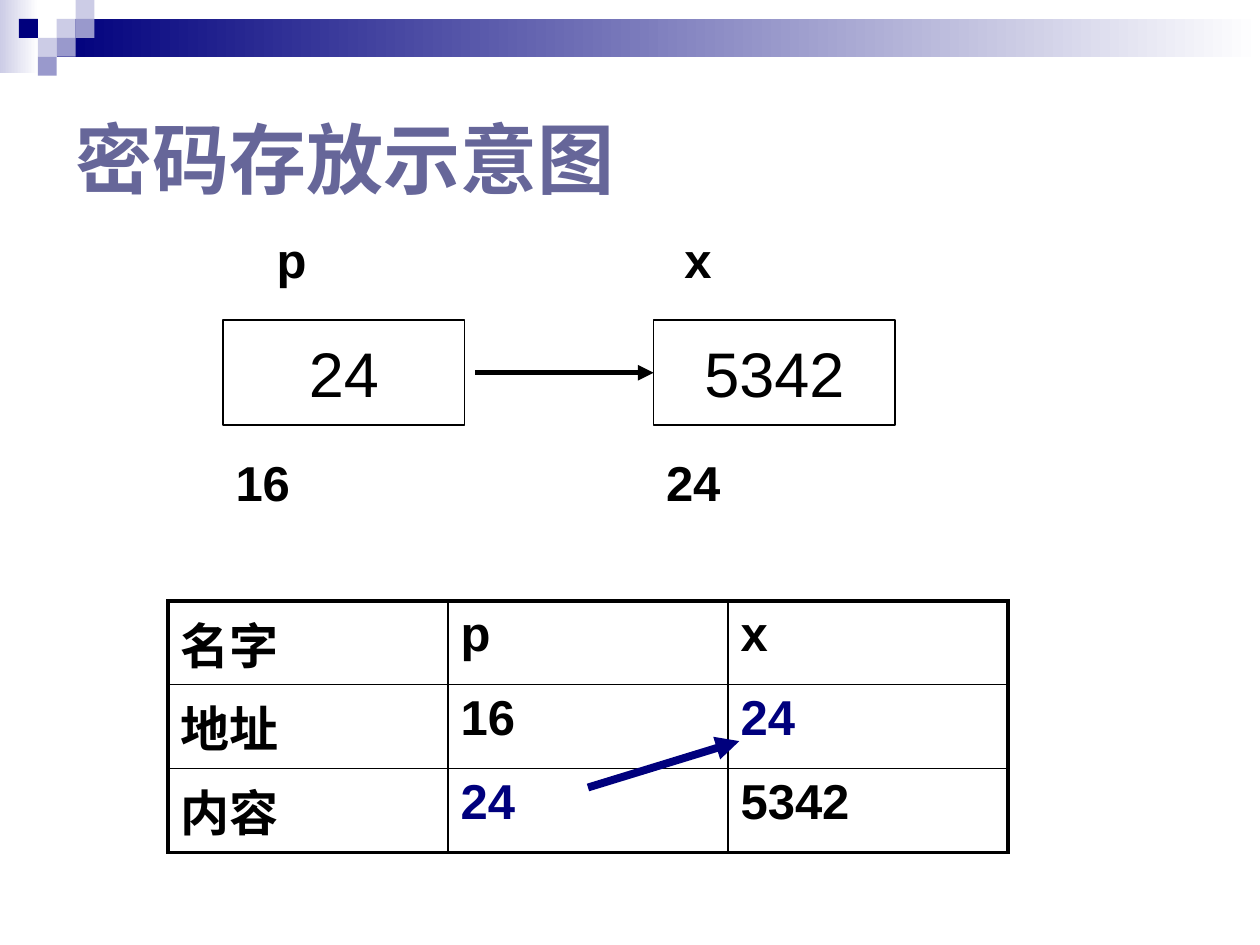
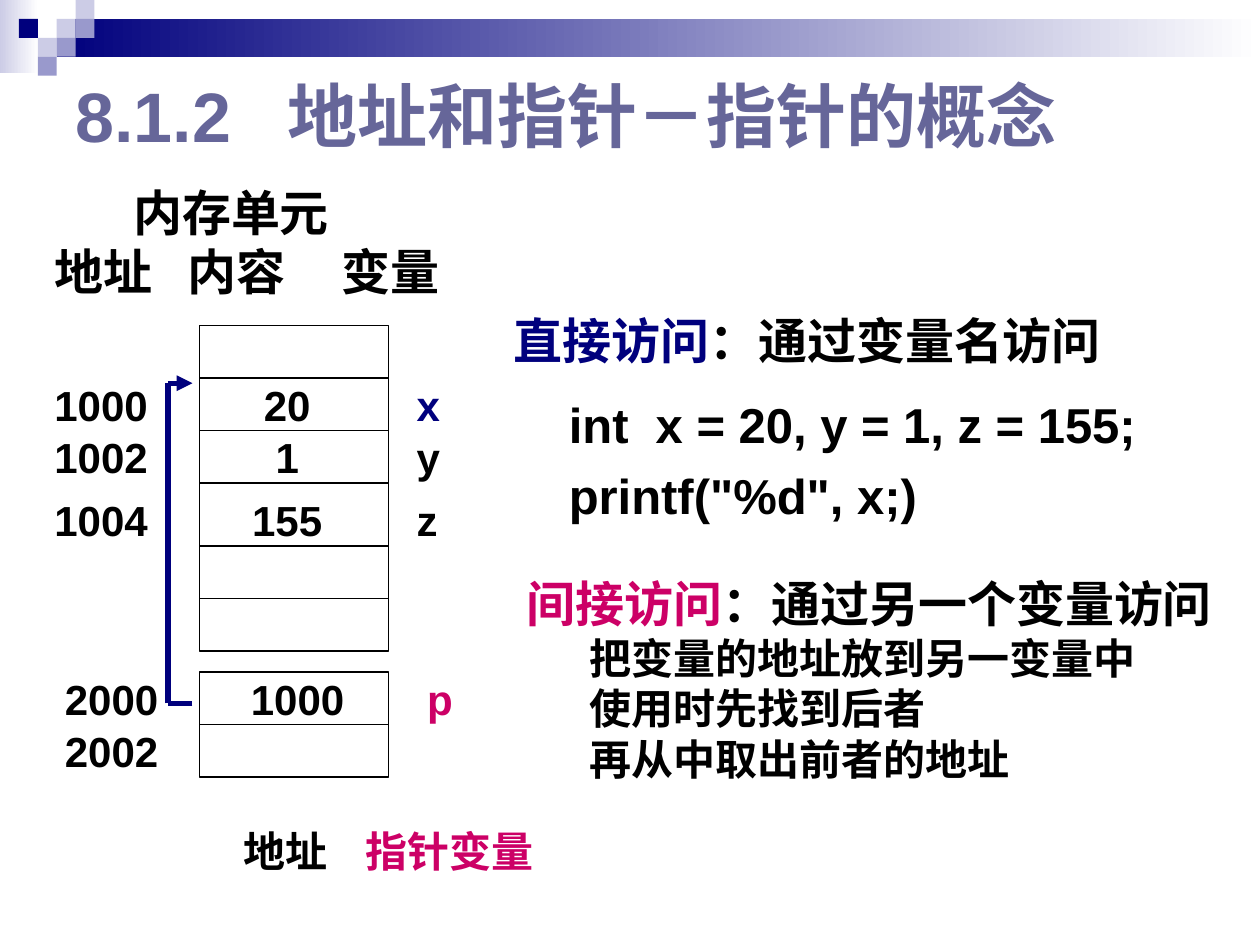
from itertools import accumulate, pairwise

from lxml.etree import SubElement
from pptx import Presentation
from pptx.dml.color import RGBColor
from pptx.enum.shapes import MSO_CONNECTOR as Connector, MSO_SHAPE as Shape
from pptx.enum.text import MSO_ANCHOR as Anchor, MSO_AUTO_SIZE as AutoSize, PP_ALIGN as Align
from pptx.oxml.ns import qn
from pptx.util import Pt

# Shared look
NAVY, SLATE, ROSE, BLACK, WHITE = "00007D", "666699", "CC0066", "000000", "FFFFFF"
LIGHT, MIDDLE = "CCCCE6", "9999CC"
SANS, SERIF, CHINESE = "Arial", "Times New Roman", "Noto Sans CJK SC"
BANDS = [((0, 0, 22, 42), LIGHT), ((32.4, 10.8, 687.6, 21.6), NAVY)]
TILE = 10.8
TILES = [  # column, row, colour
    (3, 1, LIGHT), (4, 0, LIGHT), (4, 1, MIDDLE), (2, 2, LIGHT),
    (1, 1, NAVY), (3, 2, MIDDLE), (2, 3, MIDDLE),
]

# Slide 1: how the password is stored
STORAGE_TITLE = "密码存放示意图"
VARIABLES = [  # left, value, address, name, left of name
    (127.5, "24", "16", "p", 151),
    (373.5, "5342", "24", "x", 384),
]
VARIABLE_TOP, VARIABLE_WIDTH, VARIABLE_HEIGHT = 183, 138, 60
STORAGE_ROWS = [
    ["名字", "p", "x"],
    ["地址", "16", ("24", NAVY)],
    ["内容", ("24", NAVY), "5342"],
]
STORAGE_HEIGHTS = [46, 48, 48]

# Slide 2: direct and indirect access
POINTER_TITLE = "8.1.2\t地址和指针－指针的概念"
MEMORY_LEFT, MEMORY_WIDTH, LABEL_HEIGHT = 114, 108, 30
MEMORY_BLOCKS = [
    {"top": 186, "label_left": 24, "rows": [  # height, spans of the label
        (30, []),
        (30, [("1000\t20\t", BLACK), ("x", NAVY)]),
        (30, [("1002\t1\ty", BLACK)]),
        (36, [("1004\t155\tz", BLACK)]),
        (30, []),
        (30, []),
    ]},
    {"top": 384, "label_left": 30, "rows": [
        (30, [("2000\t1000\t", BLACK), ("p", ROSE)]),
        (30, [("2002", BLACK)]),
    ]},
]
MEMORY_TABS = [(133, "ctr"), (207, "l")]
POINTER_PATH = [(110, 402), (96, 402), (96, 219), (110, 219)]
CODE = ["int  x = 20, y = 1, z = 155;", 'printf("%d", x;)']
DIRECT = [("直接访问", NAVY), ("：通过变量名访问", BLACK)]
INDIRECT = [("间接访问", ROSE), ("：通过另一个变量访问", BLACK)]
INDIRECT_STEPS = ["把变量的地址放到另一变量中", "使用时先找到后者", "再从中取出前者的地址"]
LEGEND = [("地址\t", BLACK), ("指针变量", ROSE)]


def rgb(code):
    return RGBColor.from_string(code)


def points(*lengths):
    return [Pt(length) for length in lengths]


def write(frame, text, size=28, font=SANS, color=BLACK, bold=True, align=Align.LEFT,
          before=0, indent=0, tabs=()):
    """Add a paragraph; text is a string or a list of (text, colour) spans."""
    para = frame.add_paragraph() if frame.text else frame.paragraphs[0]
    para.alignment = align
    para.space_before = Pt(before)
    properties = para._p.get_or_add_pPr()
    if indent:
        properties.set("marL", str(Pt(indent)))
        properties.set("indent", "0")
    if tabs:
        tab_list = SubElement(properties, qn("a:tabLst"))
        for position, kind in tabs:
            SubElement(tab_list, qn("a:tab"), pos=str(Pt(position)), algn=kind)
    for words, span_color in [(text, color)] if isinstance(text, str) else text:
        span = para.add_run()
        span.text = words
        span.font.size, span.font.bold, span.font.name = Pt(size), bold, font
        span.font.color.rgb = rgb(span_color)
        SubElement(span.font._element, qn("a:ea"), typeface=CHINESE)


def add_text_box(slide, place, wrap=True, anchor=Anchor.MIDDLE):
    frame = slide.shapes.add_textbox(*points(*place)).text_frame
    frame.word_wrap = wrap
    frame.auto_size = AutoSize.NONE
    frame.vertical_anchor = anchor
    return frame


def add_box(slide, place, fill=None, fade=False, line_width=0):
    box = slide.shapes.add_shape(Shape.RECTANGLE, *points(*place))
    box.shadow.inherit = False
    if fade:
        box.fill.gradient()
        box.fill.gradient_angle = 0
        for stop, code in zip(box.fill.gradient_stops, (fill, WHITE)):
            stop.color.rgb = rgb(code)
    elif fill:
        box.fill.solid()
        box.fill.fore_color.rgb = rgb(fill)
    else:
        box.fill.background()
    if line_width:
        box.line.color.rgb = rgb(BLACK)
        box.line.width = Pt(line_width)
    else:
        box.line.fill.background()
    return box


def add_line(slide, start, end, color=BLACK, width=0.75, arrow=False):
    line = slide.shapes.add_connector(Connector.STRAIGHT, *points(*start, *end))
    line.line.color.rgb = rgb(color)
    line.line.width = Pt(width)
    if arrow:
        SubElement(line.line._get_or_add_ln(), qn("a:tailEnd"), type="triangle")
    SubElement(line._element.spPr, qn("a:effectLst"))
    return line


def add_header_to_layout(slide):
    """Draw bands and tiles, then move them to the layout that the slides share."""
    shapes = [add_box(slide, place, fill, fade=True) for place, fill in BANDS]
    shapes += [add_box(slide, (column * TILE, row * TILE, TILE, TILE), fill)
               for column, row, fill in TILES]
    for index, shape in enumerate(shapes, start=2):
        slide.slide_layout.shapes.element.insert(index, shape.element)


def set_title(slide, text, place, size, tabs=()):
    title = slide.shapes.title
    title.left, title.top, title.width, title.height = points(*place)
    title.text_frame.auto_size = AutoSize.NONE
    title.text_frame.vertical_anchor = Anchor.MIDDLE
    write(title.text_frame, text, size=size, color=SLATE, tabs=tabs)


def set_borders(cell, widths):
    for side, width in widths.items():
        border = SubElement(cell._tc.get_or_add_tcPr(), qn("a:ln" + side), w=str(Pt(width)))
        fill = SubElement(border, qn("a:solidFill"))
        SubElement(fill, qn("a:srgbClr"), val=BLACK)


def add_storage_table(slide):
    last = len(STORAGE_ROWS) - 1
    table = slide.shapes.add_table(
        last + 1, 3, *points(96, 343.5, 480, sum(STORAGE_HEIGHTS))).table
    table.first_row = table.horz_banding = False
    for row, (height, entries) in enumerate(zip(STORAGE_HEIGHTS, STORAGE_ROWS)):
        table.rows[row].height = Pt(height)
        for column, entry in enumerate(entries):
            cell = table.cell(row, column)
            edges = {"L": column == 0, "R": column == 2, "T": row == 0, "B": row == last}
            set_borders(cell, {side: 2.25 if outer else 1 for side, outer in edges.items()})
            cell.fill.background()
            write(cell.text_frame, entry if isinstance(entry, str) else [entry])


def add_variable(slide, left, value, address, name, name_left):
    box = add_box(slide, (left, VARIABLE_TOP, VARIABLE_WIDTH, VARIABLE_HEIGHT), line_width=1)
    box.text_frame.vertical_anchor = Anchor.MIDDLE
    write(box.text_frame, value, size=36, bold=False, align=Align.CENTER)
    for label, label_left, top in ((name, name_left, 127.5), (address, left, 255)):
        frame = add_text_box(slide, (label_left, top, 46, 41), wrap=False, anchor=Anchor.TOP)
        write(frame, label)
    return box


def add_memory_block(slide, top, label_left, rows):
    heights = [height for height, _ in rows]
    add_box(slide, (MEMORY_LEFT, top, MEMORY_WIDTH, sum(heights)), line_width=0.75)
    bottoms = [top + offset for offset in accumulate(heights)]
    for y in bottoms[:-1]:
        add_line(slide, (MEMORY_LEFT, y), (MEMORY_LEFT + MEMORY_WIDTH, y))
    for bottom, (_, label) in zip(bottoms, rows):
        if label:
            frame = add_text_box(slide, (label_left, bottom - LABEL_HEIGHT, 276, LABEL_HEIGHT))
            write(frame, label, size=24, tabs=MEMORY_TABS)


def build_storage_slide(slide):
    set_title(slide, STORAGE_TITLE, (36, 36, 648, 108), 44)
    _, target = [add_variable(slide, *variable) for variable in VARIABLES]
    middle = VARIABLE_TOP + VARIABLE_HEIGHT / 2
    arrow = add_line(slide, (271.5, middle), (373.5, middle), width=3, arrow=True)
    arrow.end_connect(target, 1)
    add_storage_table(slide)
    add_line(slide, (336, 450), (422.5, 423.5), NAVY, 4.5, arrow=True)


def build_pointer_slide(slide):
    set_title(slide, POINTER_TITLE, (36, 36, 630, 58.5), 40, tabs=[(121, "l")])

    heading = add_text_box(slide, (24, 96, 387, 84))
    write(heading, "内存单元", font=SERIF, indent=45)
    write(heading, "地址\t内容\t变量", font=SERIF, tabs=[(76, "l"), (164, "l")])

    code = add_text_box(slide, (318, 222, 366, 81))
    for line in CODE:
        write(code, line, before=7)
    write(add_text_box(slide, (286.5, 174, 360, 41)), DIRECT, font=SERIF)
    indirect = add_text_box(slide, (294, 324, 408, 127.5))
    write(indirect, INDIRECT, font=SERIF)
    for step in INDIRECT_STEPS:
        write(indirect, step, size=24, font=SERIF, indent=36)

    for block in MEMORY_BLOCKS:
        add_memory_block(slide, **block)
    for start, end in pairwise(POINTER_PATH):
        add_line(slide, start, end, NAVY, 3, arrow=end == POINTER_PATH[-1])
    legend = add_text_box(slide, (132, 468, 222, 36))
    write(legend, LEGEND, size=24, font=SERIF, tabs=[(70, "l")])


def main():
    deck = Presentation()
    deck.slide_width, deck.slide_height = points(720, 540)
    title_only = deck.slide_layouts[5]
    storage, pointer = [deck.slides.add_slide(title_only) for _ in range(2)]
    add_header_to_layout(storage)
    build_storage_slide(storage)
    build_pointer_slide(pointer)
    deck.save("out.pptx")


if __name__ == "__main__":
    main()
